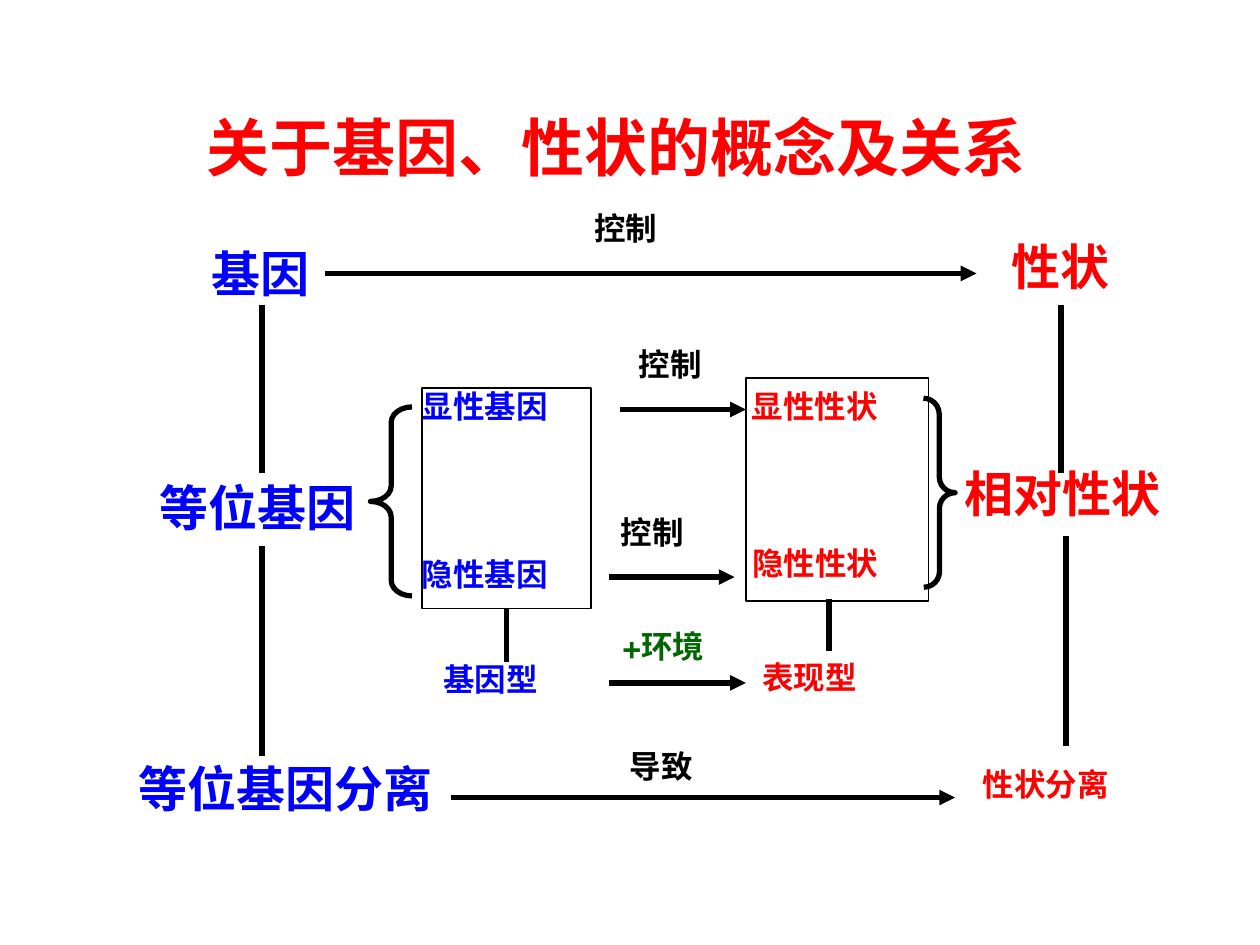
"""Build a slide that relates genes, traits and their key concepts."""
import dataclasses
import typing

import lxml.etree
import pptx
import pptx.dml.color
import pptx.enum.shapes
import pptx.enum.text
import pptx.oxml.ns
import pptx.util

Inches = pptx.util.Inches


@dataclasses.dataclass(frozen=True)
class Theme:
    gene: str = "0000FF"
    trait: str = "FF0000"
    ink: str = "000000"
    environment: str = "006600"
    title_size: int = 36
    large: int = 28
    small: int = 18
    stroke: float = 3
    outline: float = 0.75
    font: str = "Times New Roman"
    title_font: str = "Noto Sans CJK SC"
    plus_font: str = "TeX Gyre Bonum"


THEME = Theme()


class Label(typing.NamedTuple):
    text: str
    left: float
    top: float
    width: float
    color: str
    size: int = THEME.small
    wrap: bool = True


class Link(typing.NamedTuple):
    x1: float
    y1: float
    x2: float
    y2: float
    arrow: bool = False


class Outline(typing.NamedTuple):
    preset: pptx.enum.shapes.MSO_SHAPE
    left: float
    top: float
    width: float
    height: float
    weight: float
    adjustments: tuple = ()
    rotation: float = 0


LABELS = [
    Label("基因", 1.58, 1.88, 1.29, THEME.gene, THEME.large),
    Label("等位基因", 1.17, 3.74, 1.76, THEME.gene, THEME.large, False),
    Label("等位基因分离", 1, 5.97, 2.82, THEME.gene, THEME.large),
    Label("显性基因", 3.25, 3.02, 1.83, THEME.gene),
    Label("隐性基因", 3.25, 4.36, 1.67, THEME.gene),
    Label("基因型", 3.42, 5.19, 1.43, THEME.gene),
    Label("性状", 7.93, 1.83, 1.32, THEME.trait, THEME.large),
    Label("相对性状", 7.56, 3.63, 2.01, THEME.trait, THEME.large),
    Label("性状分离", 7.7, 6.02, 1.79, THEME.trait),
    Label("显性性状", 5.87, 3.02, 1.73, THEME.trait),
    Label("隐性性状", 5.87, 4.27, 1.89, THEME.trait),
    Label("表现型", 5.95, 5.17, 1.72, THEME.trait),
    Label("控制", 4.62, 1.61, 0.87, THEME.ink, wrap=False),
    Label("控制", 4.97, 2.69, 0.87, THEME.ink, wrap=False),
    Label("控制", 4.83, 4.02, 0.87, THEME.ink, wrap=False),
    Label("导致", 4.9, 5.88, 0.87, THEME.ink, wrap=False),
]

LINKS = [
    Link(2.58, 2.17, 7.75, 2.17, True),
    Link(4.92, 3.25, 5.92, 3.25, True),
    Link(4.83, 4.58, 5.83, 4.58, True),
    Link(4.83, 5.42, 5.92, 5.42, True),
    Link(3.58, 6.33, 7.58, 6.33, True),
    Link(2.08, 2.42, 2.08, 3.75),
    Link(2.08, 4.33, 2.08, 6),
    Link(8.42, 2.42, 8.42, 3.75),
    Link(8.46, 4.25, 8.46, 5.92),
    Link(6.58, 4.75, 6.58, 5.17),
]
GENOTYPE_LINK = Link(4.02, 4.83, 4.02, 5.25)

SHAPES = pptx.enum.shapes.MSO_SHAPE
GENE_BOX = Outline(SHAPES.RECTANGLE, 3.35, 3.08, 1.34, 1.75, THEME.outline)
OUTLINES = [
    Outline(SHAPES.RECTANGLE, 5.92, 3, 1.45, 1.77, THEME.outline),
    Outline(SHAPES.LEFT_BRACE, 2.94, 3.23, 0.33, 1.5, THEME.stroke, (0.375, 0.5)),
    Outline(SHAPES.LEFT_BRACE, 7.33, 3.16, 0.25, 1.5, THEME.stroke, (0.5, 0.5), 179.9),
]


def rgb(color: str):
    """Turn a hex string into a colour."""
    return pptx.dml.color.RGBColor.from_string(color)


def add_span(para, text: str, *, color: str, size: int, font: str = THEME.font):
    """Append bold formatted text to a paragraph."""
    span = para.add_run()
    span.text = text
    span.font.name = font
    span.font.size = pptx.util.Pt(size)
    span.font.bold = True
    span.font.color.rgb = rgb(color)


def add_label(page, label: Label):
    """Place a text label and return its paragraph."""
    height = 0.57 if label.size == THEME.large else 0.5
    box = page.shapes.add_textbox(
        Inches(label.left), Inches(label.top), Inches(label.width), Inches(height))
    box.text_frame.word_wrap = label.wrap
    para = box.text_frame.paragraphs[0]
    if label.text:
        add_span(para, label.text, color=label.color, size=label.size)
    return para


def add_outline(page, outline: Outline):
    """Draw an unfilled preset shape."""
    shape = page.shapes.add_shape(
        outline.preset, Inches(outline.left), Inches(outline.top),
        Inches(outline.width), Inches(outline.height))
    shape.shadow.inherit = False
    shape.fill.background()
    shape.line.color.rgb = rgb(THEME.ink)
    shape.line.width = pptx.util.Pt(outline.weight)
    shape.rotation = outline.rotation
    for index, value in enumerate(outline.adjustments):
        shape.adjustments[index] = value
    return shape


def add_link(page, link: Link):
    """Draw a straight line, with an arrowhead if asked."""
    connector = page.shapes.add_connector(
        pptx.enum.shapes.MSO_CONNECTOR.STRAIGHT,
        Inches(link.x1), Inches(link.y1), Inches(link.x2), Inches(link.y2))
    connector.line.color.rgb = rgb(THEME.ink)
    connector.line.width = pptx.util.Pt(THEME.stroke)
    qn = pptx.oxml.ns.qn
    properties = connector.element.spPr
    if link.arrow:
        lxml.etree.SubElement(properties.find(qn("a:ln")), qn("a:tailEnd"), type="triangle")
    lxml.etree.SubElement(properties, qn("a:effectLst"))
    return connector


def set_title(page, text: str):
    """Move and format the title placeholder to hold one line."""
    title = page.shapes.title
    title.left, title.top = Inches(1.54), Inches(0.81)
    title.width, title.height = Inches(6.8), Inches(0.7)
    frame = title.text_frame
    frame.word_wrap = False
    frame.margin_right = 0
    frame.auto_size = pptx.enum.text.MSO_AUTO_SIZE.NONE
    frame.vertical_anchor = pptx.enum.text.MSO_ANCHOR.TOP
    para = frame.paragraphs[0]
    para.alignment = pptx.enum.text.PP_ALIGN.LEFT
    add_span(para, text, color=THEME.trait, size=THEME.title_size, font=THEME.title_font)


def main():
    """Build and save the deck."""
    deck = pptx.Presentation()
    deck.slide_width, deck.slide_height = Inches(10), Inches(7.5)
    page = deck.slides.add_slide(deck.slide_layouts[5])
    set_title(page, "关于基因、性状的概念及关系")
    for label in LABELS:
        add_label(page, label)
    for outline in OUTLINES:
        add_outline(page, outline)
    for link in LINKS:
        add_link(page, link)
    gene_box = add_outline(page, GENE_BOX)
    add_link(page, GENOTYPE_LINK).begin_connect(gene_box, 2)
    para = add_label(page, Label("", 4.84, 4.93, 1.29, THEME.environment))
    for text, font in (("+", THEME.plus_font), ("环境", THEME.font)):
        add_span(para, text, color=THEME.environment, size=THEME.small, font=font)
    deck.save("out.pptx")


if __name__ == "__main__":
    main()
